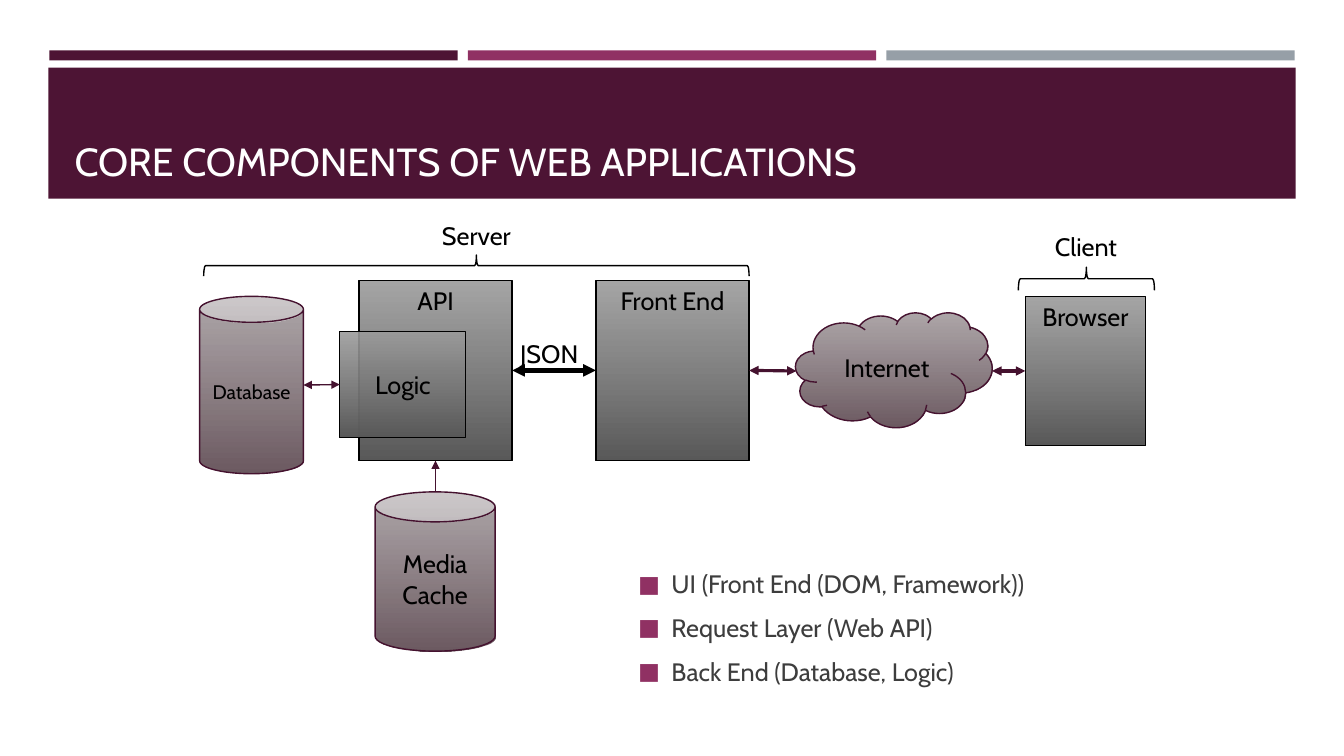
from dataclasses import dataclass

from lxml.etree import SubElement
from pptx import Presentation
from pptx.dml.color import RGBColor
from pptx.enum.dml import MSO_LINE
from pptx.enum.shapes import MSO_CONNECTOR as Link, MSO_SHAPE as Kind
from pptx.enum.text import MSO_ANCHOR as Anchor, MSO_AUTO_SIZE as Fit, PP_ALIGN as Align
from pptx.oxml.ns import qn
from pptx.util import Inches, Pt


@dataclass(frozen=True)
class Theme:
    font: str = "Cabin"
    plum: str = "4D1434"
    berry: str = "903163"
    steel: str = "969FA7"
    edge: str = "45122F"
    black: str = "000000"
    white: str = "FFFFFF"
    body: str = "3D3D3D"
    gray: tuple = ("9B9B9B", "595959")
    mauve: tuple = ("A49C9F", "6C5A61")
    head: int = 28
    text: int = 18
    small: int = 14


T = Theme()
TOP, LEFT, BOTTOM, RIGHT = range(4)


def color(code):
    return RGBColor.from_string(code)


def write(para, text, size=T.text, ink=T.black, align=Align.CENTER):
    para.alignment = align
    run = para.add_run()
    run.text = text
    run.font.name = T.font
    run.font.size = Pt(size)
    run.font.color.rgb = color(ink)


def add_shape(slide, kind, box):
    shape = slide.shapes.add_shape(kind, *map(Inches, box))
    shape.shadow.inherit = False
    return shape


def add_bar(slide, box, fill):
    bar = add_shape(slide, Kind.RECTANGLE, box)
    bar.fill.solid()
    bar.fill.fore_color.rgb = color(fill)
    bar.line.fill.background()


def add_node(slide, kind, box, text, fade, edge, anchor=Anchor.MIDDLE, size=T.text):
    """Add a labelled part whose fill fades from top to bottom."""
    node = add_shape(slide, kind, box)
    node.fill.gradient()
    node.fill.gradient_angle = 270
    for stop, code in zip(node.fill.gradient_stops, fade):
        stop.color.rgb = color(code)
    first = node._element.spPr.find(f".//{qn('a:gs')}/{qn('a:srgbClr')}")
    SubElement(first, qn("a:alpha"), val="90000")
    node.line.color.rgb = color(edge)
    node.line.width = Pt(1)
    frame = node.text_frame
    frame.word_wrap = True
    frame.vertical_anchor = anchor
    write(frame.paragraphs[0], text, size)
    return node


def add_box(slide, box, text, anchor=Anchor.TOP):
    return add_node(slide, Kind.RECTANGLE, box, text, T.gray, T.black, anchor)


def add_soft(slide, kind, box, text, size=T.text):
    return add_node(slide, kind, box, text, T.mauve, T.edge, size=size)


def add_arrow(slide, start, end, width=1, ink=T.edge, both=True, begin=None, finish=None):
    """Add an arrow; begin and finish are (shape, side) pairs to join."""
    arrow = slide.shapes.add_connector(Link.STRAIGHT, *map(Inches, start + end))
    if begin:
        arrow.begin_connect(*begin)
    if finish:
        arrow.end_connect(*finish)
    arrow.line.color.rgb = color(ink)
    arrow.line.width = Pt(width)
    arrow.line.dash_style = MSO_LINE.SOLID
    line = arrow.line._get_or_add_ln()
    for tag in ("a:headEnd", "a:tailEnd") if both else ("a:tailEnd",):
        SubElement(line, qn(tag), type="triangle")
    SubElement(arrow._element.spPr, qn("a:effectLst"))


def add_brace(slide, box):
    brace = add_shape(slide, Kind.RIGHT_BRACE, box)
    brace.rotation = 270
    brace.fill.background()
    brace.line.color.rgb = color(T.black)
    brace.line.width = Pt(1)


def add_label(slide, box, text, align=Align.CENTER):
    frame = slide.shapes.add_textbox(*map(Inches, box)).text_frame
    frame.word_wrap = True
    frame.auto_size = Fit.SHAPE_TO_FIT_TEXT
    write(frame.paragraphs[0], text, align=align)


def place(holder, box, anchor):
    holder.left, holder.top, holder.width, holder.height = map(Inches, box)
    frame = holder.text_frame
    frame.word_wrap = True
    frame.auto_size = Fit.NONE
    frame.vertical_anchor = anchor
    return frame


def add_bullet(para):
    props = para._p.get_or_add_pPr()
    props.set("marL", str(Inches(0.33)))
    props.set("indent", str(Inches(-0.33)))
    tint = SubElement(props, qn("a:buClr"))
    SubElement(tint, qn("a:srgbClr"), val=T.berry)
    SubElement(props, qn("a:buSzPct"), val="92000")
    SubElement(props, qn("a:buFont"), typeface=T.font)
    SubElement(props, qn("a:buChar"), char="■")


def fill_list(holder, box, items):
    frame = place(holder, box, Anchor.MIDDLE)
    for i, item in enumerate(items):
        para = frame.add_paragraph() if i else frame.paragraphs[0]
        add_bullet(para)
        para.space_before = Pt(3.6 if i else 0)
        para.space_after = Pt(6)
        write(para, item, ink=T.body, align=Align.LEFT)


def add_header(slide):
    for i, fill in enumerate((T.plum, T.berry, T.steel)):
        add_bar(slide, (0.49 + i * 4.15, 0.5, 4.05, 0.1), fill)
    add_bar(slide, (0.48, 0.67, 12.37, 1.3), T.plum)
    title = slide.shapes.title
    slide.shapes._spTree.append(title._element)
    frame = place(title, (0.64, 0.77, 12.06, 1.11), Anchor.BOTTOM)
    write(frame.paragraphs[0], "CORE COMPONENTS OF WEB APPLICATIONS", T.head, T.white, Align.LEFT)


def add_diagram(slide):
    add_soft(slide, Kind.CLOUD, (7.89, 3.1, 1.95, 1.14), "Internet")
    browser = add_box(slide, (10.17, 2.94, 1.19, 1.48), "Browser")
    add_soft(slide, Kind.CAN, (3.72, 4.88, 1.19, 1.58), "Media Cache")
    api = add_box(slide, (3.56, 2.78, 1.52, 1.79), "API")
    front = add_box(slide, (5.91, 2.78, 1.52, 1.79), "Front End")
    add_arrow(slide, (4.32, 4.88), (4.32, 4.57), both=False, finish=(api, BOTTOM))
    add_arrow(slide, (7.43, 3.68), (7.9, 3.68), 2.25, begin=(front, RIGHT))
    add_arrow(slide, (9.84, 3.68), (10.17, 3.68), 2.25, finish=(browser, LEFT))
    add_arrow(slide, (5.08, 3.68), (5.91, 3.68), 3, T.black, begin=(api, RIGHT), finish=(front, LEFT))
    add_label(slide, (5.06, 3.31, 1.22, 0.4), "JSON", Align.LEFT)
    add_soft(slide, Kind.CAN, (1.98, 2.94, 1.03, 1.76), "Database", T.small)
    logic = add_box(slide, (3.37, 3.29, 1.25, 1.05), "Logic", Anchor.MIDDLE)
    add_arrow(slide, (3.01, 3.82), (3.37, 3.82), finish=(logic, LEFT))
    add_brace(slide, (10.66, 2.09, 0.23, 1.35))
    add_label(slide, (10.3, 2.25, 0.94, 0.4), "Client")
    add_brace(slide, (4.62, -0.07, 0.21, 5.41))
    add_label(slide, (3.36, 2.14, 2.73, 0.4), "Server")


def main():
    deck = Presentation()
    deck.slide_width, deck.slide_height = Inches(13.33), Inches(7.5)
    slide = deck.slides.add_slide(deck.slide_layouts[1])
    add_header(slide)
    fill_list(slide.placeholders[1], (6.23, 3.75, 4.67, 4.95), (
        "UI (Front End (DOM, Framework))",
        "Request Layer (Web API)",
        "Back End (Database, Logic)",
    ))
    add_diagram(slide)
    deck.save("out.pptx")


if __name__ == "__main__":
    main()
